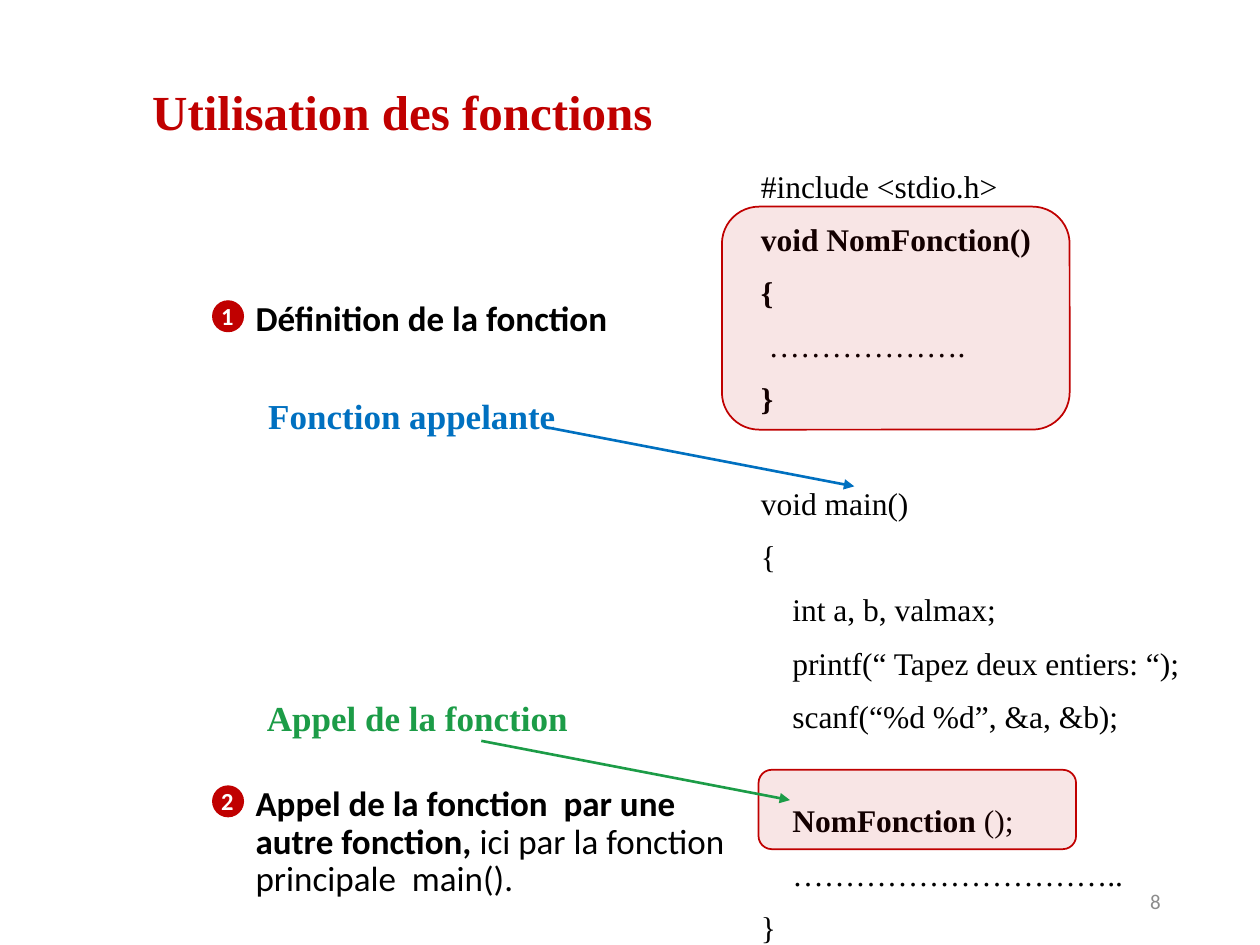
"""Build a slide on defining and calling a function in C."""
import pptx
import pptx.util
import pptx.dml.color
import pptx.enum.shapes
import pptx.enum.text
import pptx.oxml
import pptx.oxml.ns

WIDE, HIGH = 10, 7.5
SERIF, SANS = "Times New Roman", "Calibri"
RED, BLUE, GREEN = "C00000", "0070C0", "1C9C47"
BLACK, WHITE, GREY = "000000", "FFFFFF", "8C8C8C"
STEP, GAP = 10.9, 40.4
TAB = 0.25

# (indent level, space before, runs of (text, bold))
CODE = [
    (0, STEP, [("#include <stdio.h>", False)]),
    (0, STEP, [("void NomFonction()", True)]),
    (0, STEP, [("{", True)]),
    (0, STEP, [(" ……………….", False)]),
    (0, STEP, [("}", True)]),
    (0, GAP, [("void main()", False)]),
    (0, STEP, [("{", False)]),
    (1, STEP, [("int a, b, valmax;", False)]),
    (1, STEP, [("printf(“ Tapez deux entiers: “);", False)]),
    (1, STEP, [("scanf(“%d %d”, &a, &b);", False)]),
    (1, GAP, [("NomFonction", True), (" ();", False)]),
    (1, STEP, [("…………………………..", False)]),
    (0, STEP, [("}", False)]),
]
TITLE = [(1.76, 0, [("Utilisation des fonctions", True)])]
NOTES = [
    ("1", 2.34, 0.55, [("Définition de la fonction", True)]),
    ("2", 6.19, 1.1, [("Appel de la fonction  par une autre fonction, ", True),
                      ("ici par la fonction principale  main().", False)]),
]
FRAMES = [(5.73, 1.64, 2.76, 1.77), (6.02, 6.11, 2.52, 0.63)]
CALLS = [
    ("Fonction appelante", BLUE, (2.03, 3.12, 2.52, 0.55), (4.33, 3.39)),
    ("Appel de la fonction", GREEN, (2.02, 5.52, 2.95, 0.55), (3.82, 5.88)),
]
REACH = (2.45, 0.47)

SHAPES = pptx.enum.shapes.MSO_SHAPE
ALIGN = pptx.enum.text.PP_ALIGN
ANCHOR = pptx.enum.text.MSO_ANCHOR


def inches(nums):
    """Turn numbers into lengths."""
    return [pptx.util.Inches(num) for num in nums]


def color(code):
    """Turn a hex string into a colour."""
    return pptx.dml.color.RGBColor.from_string(code)


def write(home, place, lines, size=18, font=SERIF, ink=BLACK, space=0.9,
          align=ALIGN.LEFT, anchor=ANCHOR.TOP):
    """Add a text box holding lines of (level, space before, runs)."""
    frame = home.add_textbox(*inches(place)).text_frame
    frame.word_wrap = True
    frame.vertical_anchor = anchor
    for num, (level, before, runs) in enumerate(lines):
        para = frame.add_paragraph() if num else frame.paragraphs[0]
        para.alignment = align
        para.line_spacing = space
        para.space_before = pptx.util.Pt(before)
        para._p.get_or_add_pPr().set("marL", str(pptx.util.Inches(level * TAB)))
        for text, bold in runs:
            run = para.add_run()
            run.text = text
            run.font.size = pptx.util.Pt(size)
            run.font.name = font
            run.font.bold = bold
            run.font.color.rgb = color(ink)


def shape(home, kind, place, alpha=100):
    """Add a red shape with the given opacity in percent."""
    item = home.add_shape(kind, *inches(place))
    item.shadow.inherit = False
    item.fill.solid()
    item.fill.fore_color.rgb = color(RED)
    item.line.color.rgb = color(RED)
    item.line.width = pptx.util.Pt(1)
    if alpha < 100:
        tint = item.fill._xPr.find(".//" + pptx.oxml.ns.qn("a:srgbClr"))
        tint.append(pptx.oxml.parse_xml(
            f'<a:alpha {pptx.oxml.ns.nsdecls("a")} val="{alpha * 1000}"/>'))


def arrow(home, start, ink):
    """Add an arrow of the common reach from a start point."""
    ends = [base + move for base, move in zip(start, REACH)]
    kind = pptx.enum.shapes.MSO_CONNECTOR.STRAIGHT
    link = home.add_connector(kind, *inches([*start, *ends]))
    link.line.color.rgb = color(ink)
    link.line.width = pptx.util.Pt(1.5)
    names = pptx.oxml.ns.nsdecls("a")
    link.line._get_or_add_ln().append(
        pptx.oxml.parse_xml(f'<a:tailEnd {names} type="triangle"/>'))
    link._element.spPr.append(pptx.oxml.parse_xml(f"<a:effectLst {names}/>"))


def main():
    """Lay out the slide and save it."""
    deck = pptx.Presentation()
    deck.slide_width, deck.slide_height = inches((WIDE, HIGH))
    home = deck.slides.add_slide(deck.slide_layouts[6]).shapes

    write(home, (5.94, 1.31, 3.94, 6.38), CODE)
    write(home, (0.67, 0.6, 6.83, 1.04), TITLE, size=28, ink=RED, space=1)
    for mark, top, high, runs in NOTES:
        write(home, (1.93, top, 3.94, high), [(0, 10, runs)], size=20, font=SANS)
    for place in FRAMES:
        shape(home, SHAPES.ROUNDED_RECTANGLE, place, alpha=10)
    for mark, top, high, runs in NOTES:
        badge = home.add_group_shape().shapes
        shape(badge, SHAPES.OVAL, (1.69, top + 0.05, 0.24, 0.24))
        write(badge, (1.61, top, 0.39, 0.34), [(0, 0, [(mark, True)])], size=14,
              font=SANS, ink=WHITE, space=1, align=ALIGN.CENTER)
    for text, ink, place, start in CALLS:
        arrow(home, start, ink)
        write(home, place, [(0, 10, [(text, True)])], size=20, ink=ink)
    write(home, (7.06, 6.95, 2.25, 0.4), [(0, 0, [("8", False)])], size=12,
          font=SANS, ink=GREY, space=1, align=ALIGN.RIGHT, anchor=ANCHOR.MIDDLE)

    deck.save("out.pptx")


if __name__ == "__main__":
    main()
